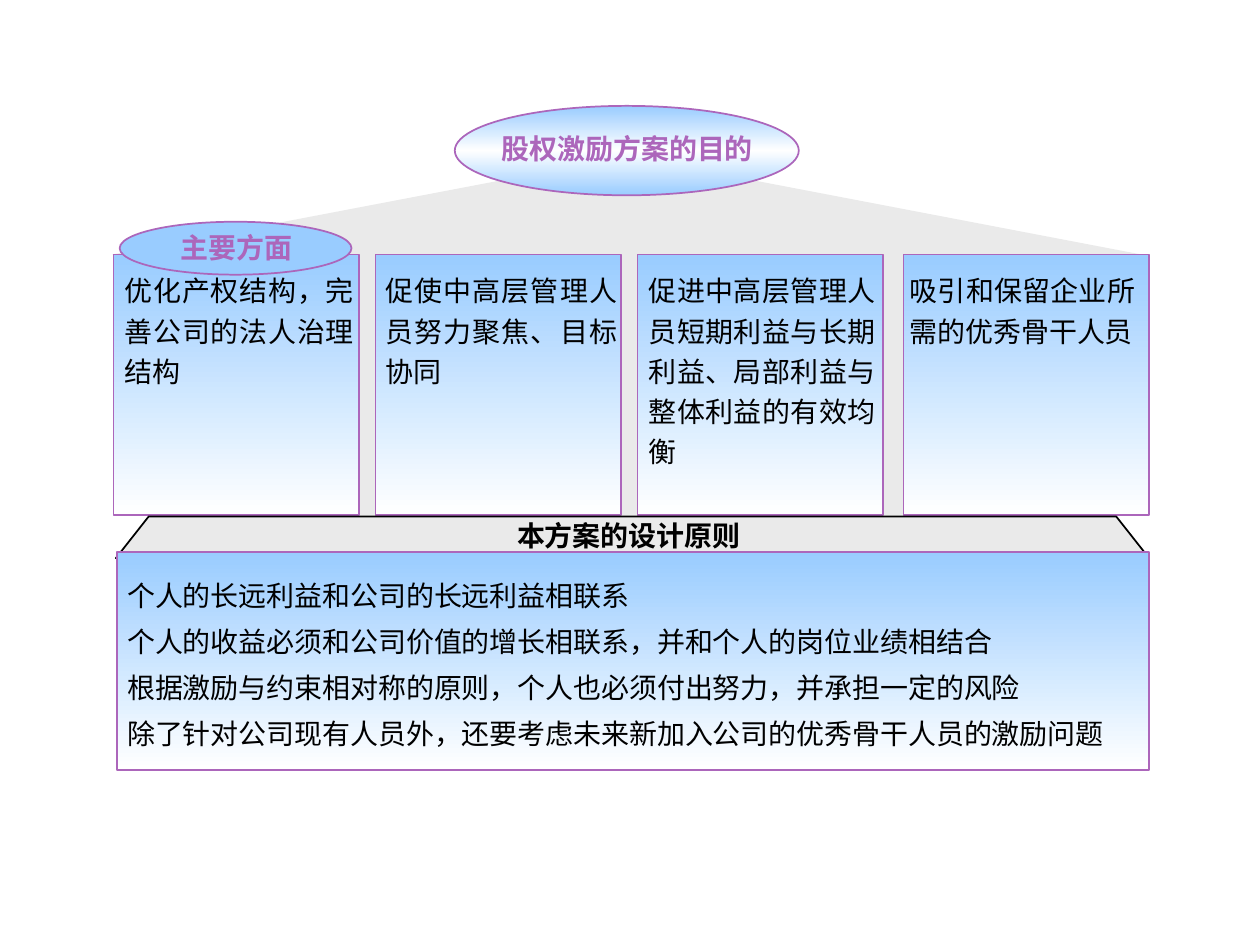
from copy import deepcopy
from pptx import Presentation
from pptx.dml.color import RGBColor
from pptx.enum.shapes import MSO_SHAPE as Kind
from pptx.enum.text import MSO_ANCHOR as Anchor, MSO_AUTO_SIZE as Fit, PP_ALIGN as Align
from pptx.util import Inches, Pt

BLUE = RGBColor(0x99, 0xCC, 0xFF)
WHITE = RGBColor(0xFF, 0xFF, 0xFF)
PURPLE = RGBColor(0xAC, 0x66, 0xBB)
GRAY = RGBColor(0xEA, 0xEA, 0xEA)
BLACK = RGBColor(0, 0, 0)


class Board:
    font = "Arial"
    size = Pt(16)
    width = Pt(1)

    def __init__(self, slide):
        self.slide = slide

    def paint(self, shape, colors, edge):
        shape.shadow.inherit = False
        fill = shape.fill
        if len(colors) == 1:
            fill.solid()
            fill.fore_color.rgb = colors[0]
        else:
            fill.gradient()
            fill.gradient_angle = 270
            stops = fill._fill._gradFill.gsLst
            for _ in colors[2:]:
                stops.append(deepcopy(stops[-1]))
            for i, (stop, color) in enumerate(zip(fill.gradient_stops, colors)):
                stop.color.rgb = color
                stop.position = i / (len(colors) - 1)
        if edge is None:
            shape.line.fill.background()
        else:
            shape.line.color.rgb = edge
            shape.line.width = self.width

    def block(self, kind, box, *colors):
        shape = self.slide.shapes.add_shape(kind, *map(Inches, box))
        self.paint(shape, colors, PURPLE)

    def outline(self, points, edge=None):
        first, *rest = [(Inches(x), Inches(y)) for x, y in points]
        pen = self.slide.shapes.build_freeform(*first)
        pen.add_line_segments(rest, close=True)
        self.paint(pen.convert_to_shape(), [GRAY], edge)

    def text(self, box, words, color=BLACK, bold=False, align=Align.JUSTIFY,
             anchor=Anchor.TOP, hang=0):
        frame = self.slide.shapes.add_textbox(*map(Inches, box)).text_frame
        frame.margin_left = frame.margin_right = 0
        frame.margin_top = frame.margin_bottom = 0
        frame.word_wrap = True
        frame.auto_size = Fit.SHAPE_TO_FIT_TEXT
        frame.vertical_anchor = anchor
        frame.text = words
        for para in frame.paragraphs:
            para.alignment = align
            para.line_spacing = 1.2
            para.space_before = Pt(3.2)
            if hang:
                props = para._p.get_or_add_pPr()
                props.set("marL", str(Inches(hang)))
                props.set("indent", str(-Inches(hang)))
            for run in para.runs:
                run.font.name = self.font
                run.font.size = self.size
                run.font.bold = bold
                run.font.color.rgb = color


def main():
    deck = Presentation()
    deck.slide_width, deck.slide_height = Inches(10), Inches(7.5)
    board = Board(deck.slides.add_slide(deck.slide_layouts[6]))

    board.outline([(2.74, 4.15), (7.25, 4.15), (7.25, 2.03), (4.99, 1.23), (2.74, 2.03)])
    board.outline([(0.89, 2.02), (4.98, 1.24), (9.06, 2.02)])

    goals = [
        (0.9, 0.99, 1.82, 0.96, "优化产权结构，完善公司的法人治理结构"),
        (2.98, 3.06, 1.84, 0.96, "促使中高层管理人员努力聚焦、目标协同"),
        (5.06, 5.15, 1.8, 1.61, "促进中高层管理人员短期利益与长期利益、局部利益与整体利益的有效均衡"),
        (7.17, 7.22, 1.79, 0.64, "吸引和保留企业所需的优秀骨干人员"),
    ]
    for left, inner, wide, high, words in goals:
        board.block(Kind.RECTANGLE, (left, 2.02, 1.95, 2.07), BLUE, WHITE)
        board.text((inner, 2.12, wide, high), words)

    board.block(Kind.OVAL, (3.61, 0.84, 2.73, 0.71), BLUE, WHITE, BLUE)
    board.text((3.71, 0.99, 2.54, 0.32), "股权激励方案的目的", PURPLE, True,
               Align.CENTER, Anchor.MIDDLE)
    board.block(Kind.OVAL, (0.95, 1.76, 1.84, 0.42), BLUE)
    board.text((1, 1.78, 1.76, 0.32), "主要方面", PURPLE, True, Align.CENTER)

    board.outline([(0.92, 4.43), (1.18, 4.1), (8.86, 4.1), (9.12, 4.43)], BLACK)
    board.block(Kind.RECTANGLE, (0.93, 4.38, 8.19, 1.73), BLUE, WHITE)
    board.text((1.2, 4.06, 7.58, 0.32), "本方案的设计原则", bold=True, align=Align.CENTER)
    rules = [
        "个人的长远利益和公司的长远利益相联系",
        "个人的收益必须和公司价值的增长相联系，并和个人的岗位业绩相结合",
        "根据激励与约束相对称的原则，个人也必须付出努力，并承担一定的风险",
        "除了针对公司现有人员外，还要考虑未来新加入公司的优秀骨干人员的激励问题",
    ]
    board.text((1.01, 4.54, 8.03, 1.45), "\n".join(rules), hang=0.2)

    deck.save("out.pptx")


if __name__ == "__main__":
    main()
